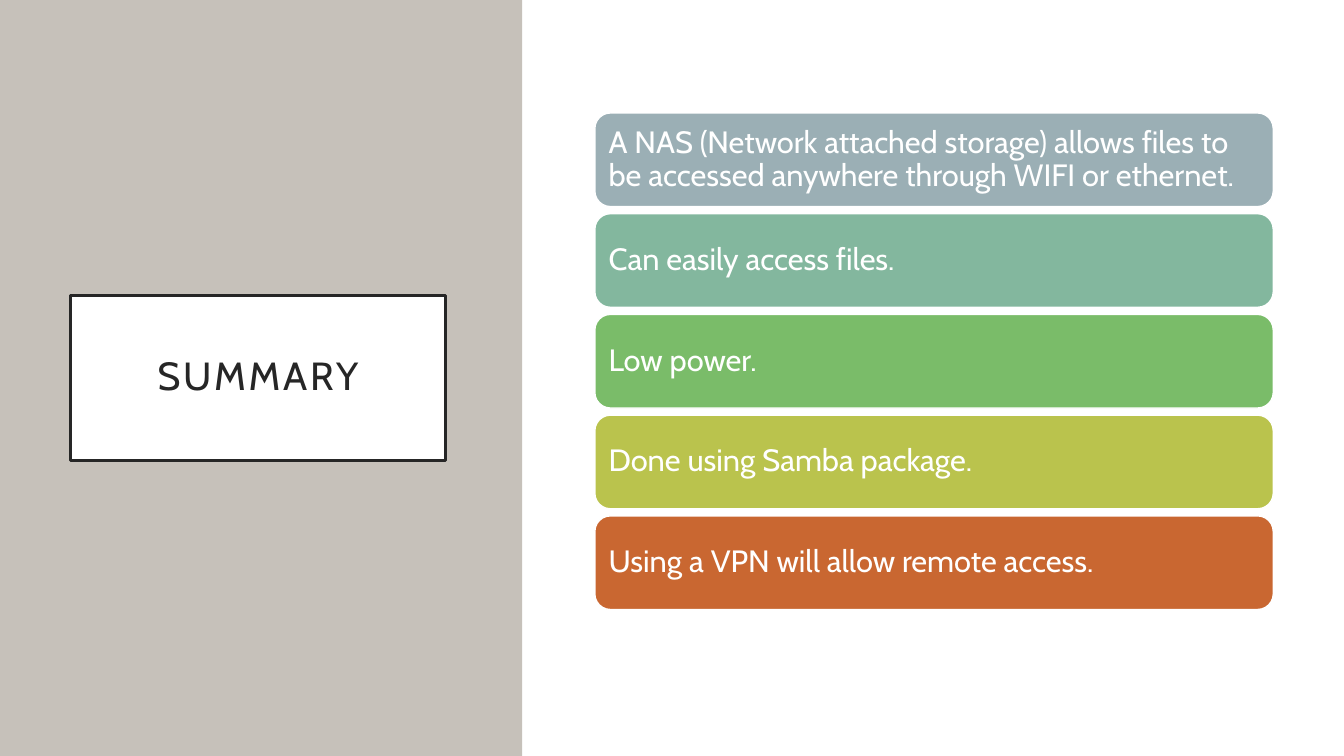
from pptx import Presentation
from pptx import util as u
from pptx.dml.color import RGBColor
from pptx.enum import shapes, text
from pptx.oxml.ns import qn

WHITE = RGBColor(0xFF, 0xFF, 0xFF)
INK = RGBColor(0x26, 0x26, 0x26)
STONE = RGBColor(0xC6, 0xC1, 0xBA)
SLATE = RGBColor(0x9B, 0xAF, 0xB5)
SAGE = RGBColor(0x83, 0xB7, 0x9E)
GREEN = RGBColor(0x7A, 0xBC, 0x69)
LIME = RGBColor(0xBA, 0xC3, 0x4D)
RUST = RGBColor(0xC9, 0x67, 0x31)

POINTS = [
    ("A NAS (Network attached storage) allows files to be accessed "
     "anywhere through WIFI or ethernet.", SLATE),
    ("Can easily access files.", SAGE),
    ("Low power.", GREEN),
    ("Done using Samba package.", LIME),
    ("Using a VPN will allow remote access.", RUST),
]
FIRST_TOP, PITCH = 80.7, 71.95


class SummarySlide:
    font = "Cabin"

    def __init__(self, slide):
        self.slide = slide

    def block(self, kind, left, top, width, height, fill, line=None, weight=1):
        block = self.slide.shapes.add_shape(
            kind, u.Pt(left), u.Pt(top), u.Pt(width), u.Pt(height))
        block.shadow.inherit = False
        block.fill.solid()
        block.fill.fore_color.rgb = fill
        if line is None:
            block.line.fill.background()
        else:
            block.line.color.rgb = line
            block.line.width = u.Pt(weight)
        return block

    def panel(self, left, width, fill):
        self.block(shapes.MSO_SHAPE.RECTANGLE, left, 0, width, 540, fill)

    def label(self, block, wording, size, color, align, inset):
        frame = block.text_frame
        frame.text = wording
        frame.word_wrap = True
        frame.vertical_anchor = text.MSO_ANCHOR.MIDDLE
        frame.margin_left = frame.margin_right = u.Pt(inset)
        frame.margin_top = frame.margin_bottom = u.Pt(inset)
        paragraph = frame.paragraphs[0]
        paragraph.alignment = align
        paragraph.line_spacing = 0.9
        font = paragraph.runs[0].font
        font.name = self.font
        font.size = u.Pt(size)
        font.color.rgb = color

    def title(self, wording):
        title = self.block(shapes.MSO_SHAPE.RECTANGLE,
                           50.4, 211, 267.8, 118, WHITE, INK, 2.5)
        self.label(title, wording, 28, INK, text.PP_ALIGN.CENTER, 14.4)
        for properties in title.element.iter(qn("a:rPr")):
            properties.set("spc", "200")

    def card(self, top, wording, fill):
        card = self.block(shapes.MSO_SHAPE.ROUNDED_RECTANGLE,
                          424.9, top, 484.6, 66.9, fill, WHITE)
        self.label(card, wording, 22, WHITE, text.PP_ALIGN.LEFT, 6.6)


def main():
    deck = Presentation()
    deck.slide_width, deck.slide_height = u.Pt(960), u.Pt(540)
    summary = SummarySlide(deck.slides.add_slide(deck.slide_layouts[6]))
    summary.panel(0, 373, STONE)
    summary.title("SUMMARY")
    summary.panel(374.2, 585.8, WHITE)
    for row, (wording, fill) in enumerate(POINTS):
        summary.card(FIRST_TOP + row * PITCH, wording, fill)
    deck.save("out.pptx")


if __name__ == "__main__":
    main()
